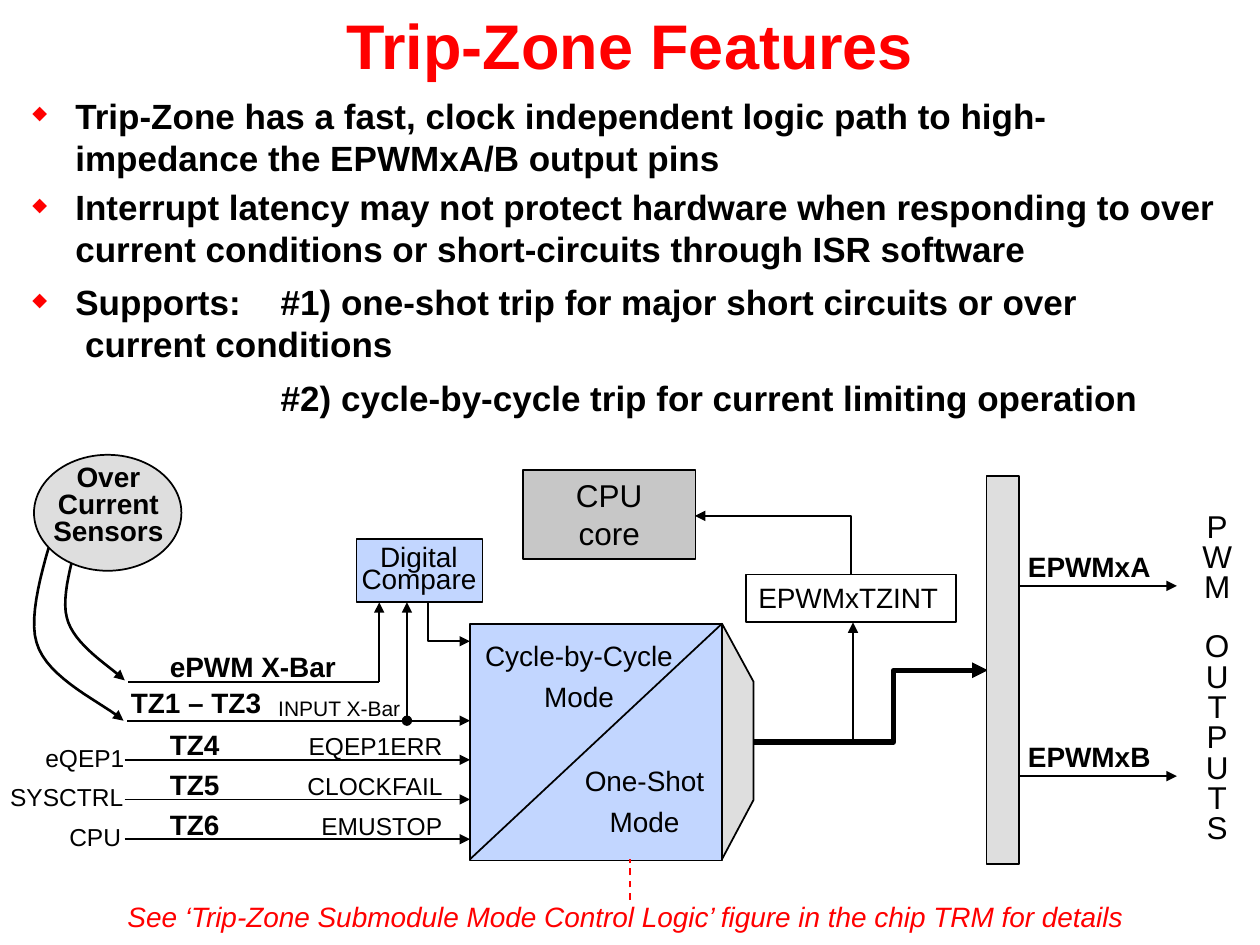
from lxml import etree
from pptx import Presentation
from pptx.dml.color import RGBColor
from pptx.enum.dml import MSO_LINE
from pptx.enum.shapes import MSO_CONNECTOR, MSO_SHAPE
from pptx.enum.text import MSO_ANCHOR, MSO_AUTO_SIZE, PP_ALIGN
from pptx.oxml.ns import qn
from pptx.util import Inches, Pt

LEFT, CENTER = PP_ALIGN.LEFT, PP_ALIGN.CENTER
TOP, MIDDLE = MSO_ANCHOR.TOP, MSO_ANCHOR.MIDDLE
RECT, OVAL = MSO_SHAPE.RECTANGLE, MSO_SHAPE.OVAL
STRAIGHT, ELBOW = MSO_CONNECTOR.STRAIGHT, MSO_CONNECTOR.ELBOW

THEME = {
    "font": "Arial", "black": "000000", "red": "FF0000", "white": "FFFFFF",
    "gray": "DEDEDE", "dark gray": "C7C7C7", "blue": "C2D6FF",
    "title": 36, "body": 20, "block": 18, "label": 16, "signal": 14, "note": 12,
}

# Content
TITLE = "Trip-Zone Features"
BODY = [  # text, space before in points, bulleted
    ("Trip-Zone has a fast, clock independent logic path to high-impedance "
     "the EPWMxA/B output pins", 4, True),
    ("Interrupt latency may not protect hardware when responding to over "
     "current conditions or short-circuits through ISR software", 4, True),
    ("Supports:\t#1) one-shot trip for major short circuits or over\v current conditions",
     6.5, True),
    ("#2) cycle-by-cycle trip for current limiting operation", 6.5, False),
]
FOOTNOTE = "See ‘Trip-Zone Submodule Mode Control Logic’ figure in the chip TRM for details"

BLOCKS = [  # preset, left, top, width, height, fill, lines, size, alignment
    (RECT, 4.15, 3.73, 1.37, 0.71, "dark gray", ["CPU", "core"], "block", CENTER),
    (RECT, 7.83, 3.78, 0.26, 3.08, "gray", [], "label", LEFT),
    (RECT, 5.92, 4.56, 1.67, 0.38, "white", ["EPWMxTZINT"], "label", LEFT),
    (RECT, 3.73, 4.95, 2, 1.88, "blue", [], "label", LEFT),
    (RECT, 2.83, 4.28, 1, 0.5, "blue", [], "label", LEFT),
    (OVAL, 0.27, 3.61, 1.17, 0.92, "gray", [], "label", LEFT),
]
MODE_EDGE = [(5.73, 6.82), (5.98, 6.35), (5.98, 5.41), (5.73, 4.95)]
POLYLINES = [  # points, line width
    ([(3.4, 4.76), (3.4, 5.09), (3.73, 5.09)], 1),
    ([(5.59, 5.89), (7.09, 5.89), (7.09, 5.32), (7.84, 5.32)], 3),
]
CURVES = [  # chained cubic segments: start, then two controls and an end each
    [(0.48, 4.01), (0.45, 4.19), (0.2, 4.81), (0.29, 5.1),
     (0.37, 5.39), (0.84, 5.59), (0.98, 5.72)],
    [(0.68, 4.07), (0.65, 4.21), (0.47, 4.68), (0.53, 4.9),
     (0.58, 5.12), (0.89, 5.3), (0.99, 5.4)],
]
LINES = [  # from, to, head, tail
    ((6.77, 5.9), (6.77, 4.94), None, "triangle"),
    ((1.02, 5.41), (3.01, 5.41), None, None),
    ((1.01, 5.72), (3.73, 5.72), None, "triangle"),
    ((5.73, 4.95), (3.73, 6.82), None, None),
    ((3.01, 4.78), (3.01, 5.41), "triangle", None),
    ((3.23, 4.78), (3.23, 5.72), "triangle", "oval"),
]
LABELS = [  # lines, left, top, width, height, format
    (["INPUT X-Bar"], 2.11, 5.51, 1.18, 0.26, {"size": "note"}),
    (["ePWM X-Bar"], 1.25, 5.16, 1.54, 0.32, {"bold": True}),
    (["TZ1 – TZ3"], 0.94, 5.44, 1.25, 0.32, {"bold": True}),
    (["Cycle-by-Cycle", "Mode"], 3.75, 5.07, 1.69, 0.66, {"align": CENTER, "before": 8}),
    (["One-Shot", "Mode"], 4.54, 6.06, 1.15, 0.66, {"align": CENTER, "before": 8}),
    (["Digital", "Compare"], 2.77, 4.4, 1.11, 0.37,
     {"align": CENTER, "before": 8, "spacing": 0.25}),
    (["Over", "Current", "Sensors"], 0.32, 3.65, 1.08, 0.74,
     {"align": CENTER, "bold": True}),
    ([FOOTNOTE], 0.81, 7.14, 8.31, 0.32,
     {"align": CENTER, "italic": True, "color": "red", "wrap": True, "anchor": MIDDLE}),
]
TRIP_ROWS = [  # zone, source, source left, source width, signal, signal left, signal width
    ("TZ4", "eQEP1", 0.36, 0.63, "EQEP1ERR", 2.45, 1.07),
    ("TZ5", "SYSCTRL", 0.08, 0.91, "CLOCKFAIL", 2.44, 1.08),
    ("TZ6", "CPU", 0.55, 0.42, "EMUSTOP", 2.55, 0.97),
]
TRIP_TOP, TRIP_STEP = 6.03, 0.315
OUTPUTS = [("EPWMxA", 4.65), ("EPWMxB", 6.16)]
OUTPUT_WORDS = ["PWM", "OUTPUTS"]

deck = Presentation()
deck.slide_width, deck.slide_height = Inches(10), Inches(7.5)
page = deck.slides.add_slide(deck.slide_layouts[5])
shapes = page.shapes


def color(name):
    return RGBColor.from_string(THEME[name])


def write(frame, lines, size="label", ink="black", align=LEFT, spacing=1.0,
          before=0, **style):
    """Put one paragraph per line into the frame."""
    for index, line in enumerate(lines):
        para = frame.paragraphs[0] if index == 0 else frame.add_paragraph()
        para.text = line
        para.alignment, para.line_spacing = align, spacing
        para.space_before = Pt(before if index else 0)
        values = {"name": THEME["font"], "size": Pt(THEME[size]), **style}
        for span in para.runs:
            for key, value in values.items():
                setattr(span.font, key, value)
            span.font.color.rgb = color(ink)


def add_text(lines, left, top, width, height, inset=True, wrap=False, anchor=TOP,
             **style):
    box = shapes.add_textbox(*map(Inches, (left, top, width, height)))
    frame = box.text_frame
    frame.word_wrap, frame.vertical_anchor = wrap, anchor
    frame.auto_size = MSO_AUTO_SIZE.SHAPE_TO_FIT_TEXT
    if not inset:
        for side in ("left", "top", "right", "bottom"):
            setattr(frame, f"margin_{side}", 0)
    style["ink"] = style.pop("color", "black")
    write(frame, lines, **{"spacing": 0.8, **style})
    return frame


def style_line(shape, width=1, head=None, tail=None, ink="black"):
    shape.line.color.rgb, shape.line.width = color(ink), Pt(width)
    outline = shape._element.spPr.find(qn("a:ln"))
    for tag, end in (("a:headEnd", head), ("a:tailEnd", tail)):
        if end:
            etree.SubElement(outline, qn(tag), type=end)


def add_line(start, end, head=None, tail=None, ink="black", kind=STRAIGHT):
    line = shapes.add_connector(kind, *map(Inches, (*start, *end)))
    style_line(line, 1, head, tail, ink)
    etree.SubElement(line._element.spPr, qn("a:effectLst"))
    return line


def add_outline(points, width=1, fill=None, tail=None):
    points = [(Inches(x), Inches(y)) for x, y in points]
    builder = shapes.build_freeform(*points[0])
    builder.add_line_segments(points[1:], close=bool(fill))
    shape = builder.convert_to_shape()
    shape.shadow.inherit = False
    if fill:
        shape.fill.solid()
        shape.fill.fore_color.rgb = color(fill)
    else:
        shape.fill.background()
    style_line(shape, width, tail=tail)


def trace(controls, steps=16):
    """Points along a chain of cubic curves."""
    points = [controls[0]]
    for first in range(0, len(controls) - 1, 3):
        a, b, c, d = controls[first:first + 4]
        for t in (step / steps for step in range(1, steps + 1)):
            u = 1 - t
            points.append(tuple(u**3 * a[k] + 3 * u * u * t * b[k] + 3 * u * t * t * c[k]
                                + t**3 * d[k] for k in (0, 1)))
    return points


# Title and bullets
title = shapes.title
title.left, title.top, title.width, title.height = map(Inches, (0, 0, 10, 0.7))
title.text_frame.vertical_anchor = MIDDLE
write(title.text_frame, [TITLE], "title", "red", CENTER, bold=True)

body = add_text([text for text, *_ in BODY], 0.12, 0.7, 9.73, 2.78, wrap=True,
                size="body", bold=True, spacing=1.0)
body.auto_size = MSO_AUTO_SIZE.NONE
for para, (_, before, bulleted) in zip(body.paragraphs, BODY):
    para.space_before = Pt(before)
    props = para._p.get_or_add_pPr()
    props.set("marL", str(Inches(0.38 if bulleted else 2.01)))
    if bulleted:
        props.set("indent", str(Inches(-0.34)))
        tint = etree.SubElement(props, qn("a:buClr"))
        etree.SubElement(tint, qn("a:srgbClr"), val=THEME["red"])
        etree.SubElement(props, qn("a:buSzPct"), val="55000")
        etree.SubElement(props, qn("a:buChar"), char="◆")
        stops = etree.SubElement(props, qn("a:tabLst"))
        etree.SubElement(stops, qn("a:tab"), pos=str(Inches(2.01)), algn="l")

# Bent and curved wires, tucked under the blocks they leave
for points, width in POLYLINES:
    add_outline(points, width, tail="triangle")
for controls in CURVES:
    add_outline(trace(controls), 1.5, tail="triangle")

# Blocks
for preset, left, top, width, height, fill, lines, size, align in BLOCKS:
    block = shapes.add_shape(preset, *map(Inches, (left, top, width, height)))
    block.shadow.inherit = False
    block.fill.solid()
    block.fill.fore_color.rgb = color(fill)
    style_line(block)
    block.text_frame.vertical_anchor = TOP
    write(block.text_frame, lines, size, align=align)
add_outline(MODE_EDGE, fill="gray")

# Straight wires
for line in LINES:
    add_line(*line)
add_line((5, 7.14), (5, 6.82), ink="red").line.dash_style = MSO_LINE.DASH

# Interrupt wire: one bend, turned a quarter to leave upwards
elbow = add_line((5.9, 4.95), (6.37, 3.71), tail="triangle", kind=ELBOW)
elbow._element.spPr.find(qn("a:xfrm")).set("rot", "16200000")
elbow._element.spPr.find(qn("a:prstGeom")).set("prst", "bentConnector2")

# Labels, trip rows and outputs
for lines, left, top, width, height, style in LABELS:
    add_text(lines, left, top, width, height, **style)
for row, (zone, source, source_left, source_width,
          signal, signal_left, signal_width) in enumerate(TRIP_ROWS):
    y = TRIP_TOP + row * TRIP_STEP
    add_line((0.99, y), (3.73, y), tail="triangle")
    add_text([zone], 1.25, y - 0.25, 0.6, 0.31, bold=True)
    add_text([source], source_left, y - 0.09, source_width, 0.19, inset=False, size="signal")
    add_text([signal], signal_left, y - 0.18, signal_width, 0.19, inset=False, size="signal")
for name, y in OUTPUTS:
    add_line((8.09, y), (9.34, y), tail="triangle")
    add_text([name], 8.06, y - 0.29, 1.18, 0.31, bold=True)
letters = add_text("".join(OUTPUT_WORDS), 9.44, 4.03, 0.44, 2.76, size="block", align=CENTER)
letters.paragraphs[len(OUTPUT_WORDS[0])].space_before = Pt(16.6)

deck.save("out.pptx")
